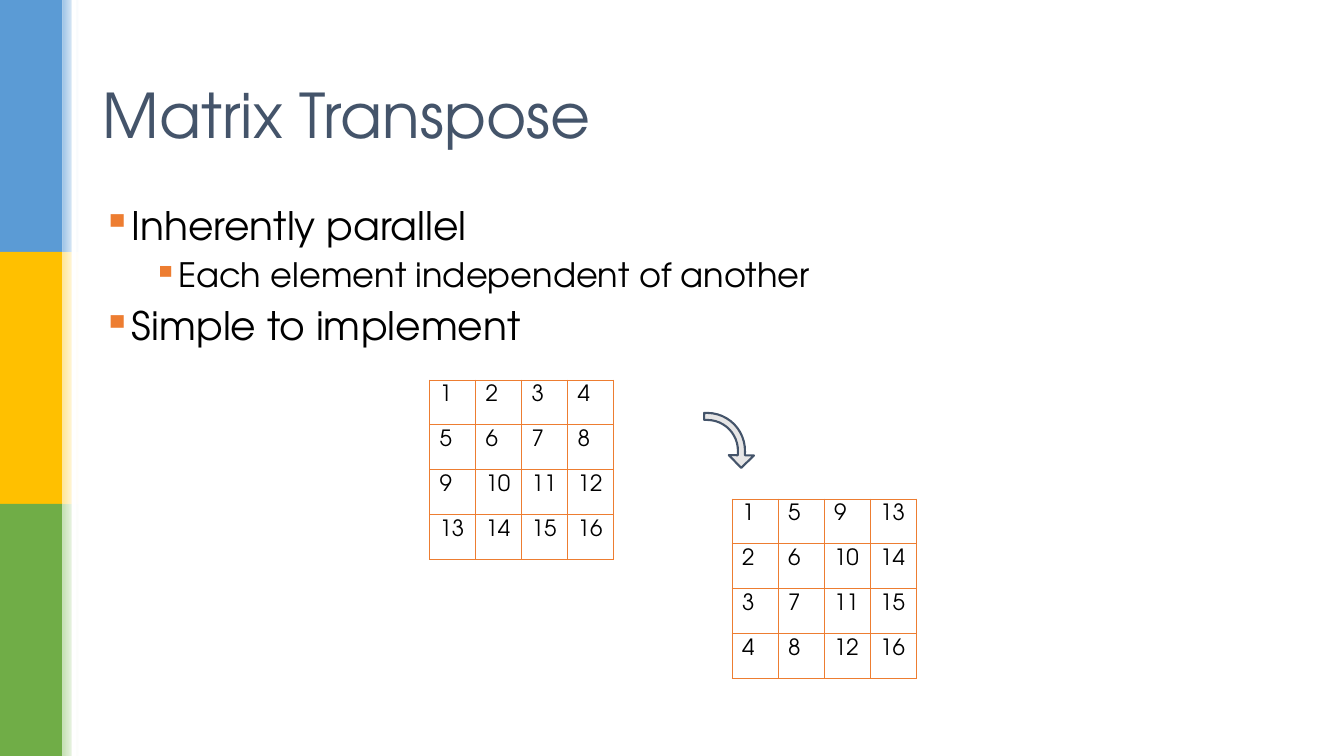
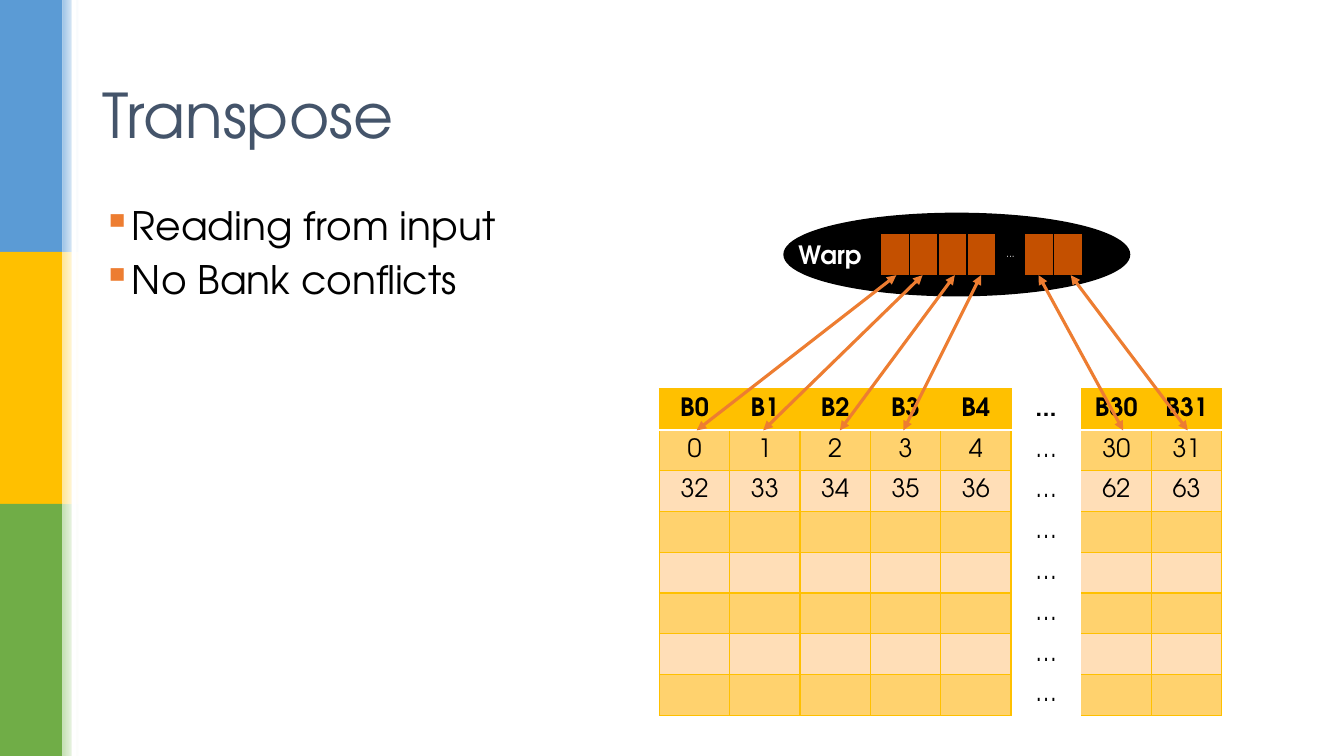
from lxml import etree
from pptx import Presentation
from pptx.dml.color import RGBColor
from pptx.enum import shapes, text
from pptx.oxml import ns
from pptx.util import Inches, Pt

FONT = "TeX Gyre Adventor"
BLACK = RGBColor(0x00, 0x00, 0x00)
WHITE = RGBColor(0xFF, 0xFF, 0xFF)
SLATE = RGBColor(0x44, 0x54, 0x6A)
SILVER = RGBColor(0xE7, 0xE6, 0xE6)
ORANGE = RGBColor(0xED, 0x7D, 0x31)
RUST = RGBColor(0xC4, 0x50, 0x00)
GOLD = RGBColor(0xFF, 0xC0, 0x00)
AMBER = RGBColor(0xFF, 0xD2, 0x6E)
PEACH = RGBColor(0xFF, 0xDE, 0xB7)
BANDS = [
    (RGBColor(0x5B, 0x9B, 0xD5), RGBColor(0x9D, 0xC3, 0xE6)),
    (GOLD, RGBColor(0xFF, 0xE6, 0x99)),
    (RGBColor(0x70, 0xAD, 0x47), RGBColor(0xC5, 0xE0, 0xB4)),
]
NO_STYLE = "{2D5ABB26-0587-4C30-8999-92F81FD0307C}"
WIDTH, HEIGHT = 13.33, 7.5
BAND_W, FADE_W = 0.62, 0.16
LEVELS = [(28, 0.25), (24, 0.75)]

MATRIX_TITLE = "Matrix Transpose"
MATRIX_POINTS = [
    (0, "Inherently parallel"),
    (1, "Each element independent of another"),
    (0, "Simple to implement"),
]
MATRIX = [[4 * row + col + 1 for col in range(4)] for row in range(4)]
MATRICES = [(4.26, 3.77, MATRIX), (7.26, 4.95, list(zip(*MATRIX)))]

BANK_TITLE = "Transpose"
BANK_POINTS = [(0, "Reading from input"), (0, "No Bank conflicts")]
GAP = 5
BANKS = [
    ["B0", "B1", "B2", "B3", "B4", "...", "B30", "B31"],
    [0, 1, 2, 3, 4, "…", 30, 31],
    [32, 33, 34, 35, 36, "…", 62, 63],
] + [[""] * GAP + ["…", "", ""] for _ in range(5)]
THREADS = [["", "", "", "", "...", "", ""]]
READS = [(8.89, 6.91), (9.15, 7.57), (9.47, 8.33),
         (9.73, 8.96), (10.3, 11.14), (10.62, 11.78)]
READ_TOP, READ_BOTTOM = 2.73, 4.27


def box(*lengths):
    return [Inches(n) for n in lengths]


def style(p, size, color, bold=False):
    p.font.name, p.font.size, p.font.bold = FONT, Pt(size), bold
    p.font.color.rgb = color


def add_shape(s, kind, at, fill, line=None):
    sp = s.shapes.add_shape(kind, *box(*at))
    sp.shadow.inherit = False
    if isinstance(fill, RGBColor):
        sp.fill.solid()
        sp.fill.fore_color.rgb = fill
    else:
        sp.fill.gradient()
        sp.fill.gradient_angle = 0
        for stop, color in zip(sp.fill.gradient_stops, fill):
            stop.color.rgb = color
    if line is None:
        sp.line.fill.background()
    else:
        sp.line.color.rgb, sp.line.width = line, Pt(1.5)
    return sp


def add_text(s, at, content, size, color, bold=False, wrap=True):
    tf = s.shapes.add_textbox(*box(*at)).text_frame
    tf.word_wrap = wrap
    p = tf.paragraphs[0]
    p.text = content
    style(p, size, color, bold)
    return tf


def add_points(s, points):
    tf = s.shapes.add_textbox(*box(0.92, 2, 11.5, 4.76)).text_frame
    tf.word_wrap = True
    for i, (level, content) in enumerate(points):
        p = tf.add_paragraph() if i else tf.paragraphs[0]
        size, indent = LEVELS[level]
        p.text, p.level = content, level
        p.line_spacing, p.space_before = 0.9, Pt(0.3 * size)
        style(p, size, BLACK)
        pPr = p._p.get_or_add_pPr()
        pPr.set("marL", str(Inches(indent)))
        pPr.set("indent", str(Inches(-0.25)))
        color = etree.Element(ns.qn("a:buClr"))
        etree.SubElement(color, ns.qn("a:srgbClr"), val=str(ORANGE))
        mark = etree.Element(ns.qn("a:buChar"), char="▪")
        defaults = pPr.find(ns.qn("a:defRPr"))
        defaults.addprevious(color)
        defaults.addprevious(mark)


def add_slide(prs, title, points):
    s = prs.slides.add_slide(prs.slide_layouts[6])
    rect = shapes.MSO_SHAPE.RECTANGLE
    band_h = HEIGHT / len(BANDS)
    for i, (color, tint) in enumerate(BANDS):
        add_shape(s, rect, (0, i * band_h, BAND_W, band_h), color)
        add_shape(s, rect, (BAND_W, i * band_h, FADE_W, band_h), (tint, WHITE))
    add_shape(s, rect, (0.71, 0, 0.05, HEIGHT), WHITE)
    add_points(s, points)
    tf = add_text(s, (0.92, 0.4, 11.5, 1.45), title, 44, SLATE)
    tf.vertical_anchor = text.MSO_ANCHOR.MIDDLE
    return s


def add_border(cell, sides):
    tcPr = cell._tc.get_or_add_tcPr()
    for side in "LRTB":
        if side in sides:
            color, width = sides[side]
            ln = etree.SubElement(tcPr, ns.qn("a:ln" + side), w=str(Pt(width)))
            fill = etree.SubElement(ln, ns.qn("a:solidFill"))
            etree.SubElement(fill, ns.qn("a:srgbClr"), val=str(color))


def add_grid(s, left, top, col_w, row_h, rows, look):
    at = box(left, top, col_w * len(rows[0]), row_h * len(rows))
    table = s.shapes.add_table(len(rows), len(rows[0]), *at).table
    table._tbl.tblPr.find(ns.qn("a:tableStyleId")).text = NO_STYLE
    table.first_row = table.horz_banding = False
    for row in table.rows:
        row.height = Inches(row_h)
    for col in table.columns:
        col.width = Inches(col_w)
    for r, values in enumerate(rows):
        for c, value in enumerate(values):
            cell = table.cell(r, c)
            fill, sides, size, color, bold, centred = look(r, c)
            add_border(cell, sides)
            if fill is None:
                cell.fill.background()
            else:
                cell.fill.solid()
                cell.fill.fore_color.rgb = fill
            p = cell.text_frame.paragraphs[0]
            p.text = str(value)
            style(p, size, color, bold)
            if centred:
                p.alignment = text.PP_ALIGN.CENTER
                cell.vertical_anchor = text.MSO_ANCHOR.MIDDLE
            else:
                cell.margin_right = Inches(0.05)


def matrix_look(r, c):
    return None, dict.fromkeys("LRTB", (ORANGE, 0.75)), 16, BLACK, False, False


def bank_look(r, c):
    header = r == 0
    if c == GAP:
        return WHITE, {}, 18, BLACK, header, True
    sides = dict.fromkeys("LRTB", (GOLD, 1))
    if header:
        sides["B"] = (WHITE, 1.5)
    if r == 1:
        sides["T"] = (WHITE, 1.5)
    if c == GAP - 1:
        del sides["R"]
    if c == GAP + 1:
        del sides["L"]
    fill = GOLD if header else AMBER if r % 2 else PEACH
    return fill, sides, 18, BLACK, header, True


def thread_look(r, c):
    skipped = THREADS[r][c] != ""
    sides = dict.fromkeys("LRTB", (BLACK, 1))
    return BLACK if skipped else RUST, sides, 7, WHITE, False, True


def add_read(s, thread_x, bank_x):
    ends = box(thread_x, READ_TOP, bank_x, READ_BOTTOM)
    cn = s.shapes.add_connector(shapes.MSO_CONNECTOR.STRAIGHT, *ends)
    cn.line.color.rgb, cn.line.width = ORANGE, Pt(2.25)
    ln = cn.line._get_or_add_ln()
    for end in ("a:headEnd", "a:tailEnd"):
        etree.SubElement(ln, ns.qn(end), type="triangle")
    etree.SubElement(cn._element.spPr, ns.qn("a:effectLst"))


prs = Presentation()
prs.slide_width, prs.slide_height = box(WIDTH, HEIGHT)

s = add_slide(prs, MATRIX_TITLE, MATRIX_POINTS)
for left, top, rows in MATRICES:
    add_grid(s, left, top, 0.457, 0.445, rows, matrix_look)
turn = add_shape(s, shapes.MSO_SHAPE.BENT_ARROW, (6.96, 4.12, 0.54, 0.5), SILVER, SLATE)
turn.rotation = 90.9
for i, value in enumerate((0.14, 0.25, 0.25, 0.75)):
    turn.adjustments[i] = value

s = add_slide(prs, BANK_TITLE, BANK_POINTS)
add_shape(s, shapes.MSO_SHAPE.OVAL, (7.78, 2.12, 3.42, 0.81), BLACK, BLACK)
warp = add_text(s, (7.82, 2.27, 0.87, 0.5), "Warp", 18, WHITE, True, False)
warp.margin_top = warp.margin_bottom = Inches(0.1)
add_grid(s, 6.54, 3.86, 5.58 / 8, 3.24 / 8, BANKS, bank_look)
add_grid(s, 8.73, 2.32, 2.01 / 7, 0.41, THREADS, thread_look)
for thread_x, bank_x in READS:
    add_read(s, thread_x, bank_x)

prs.save("out.pptx")
